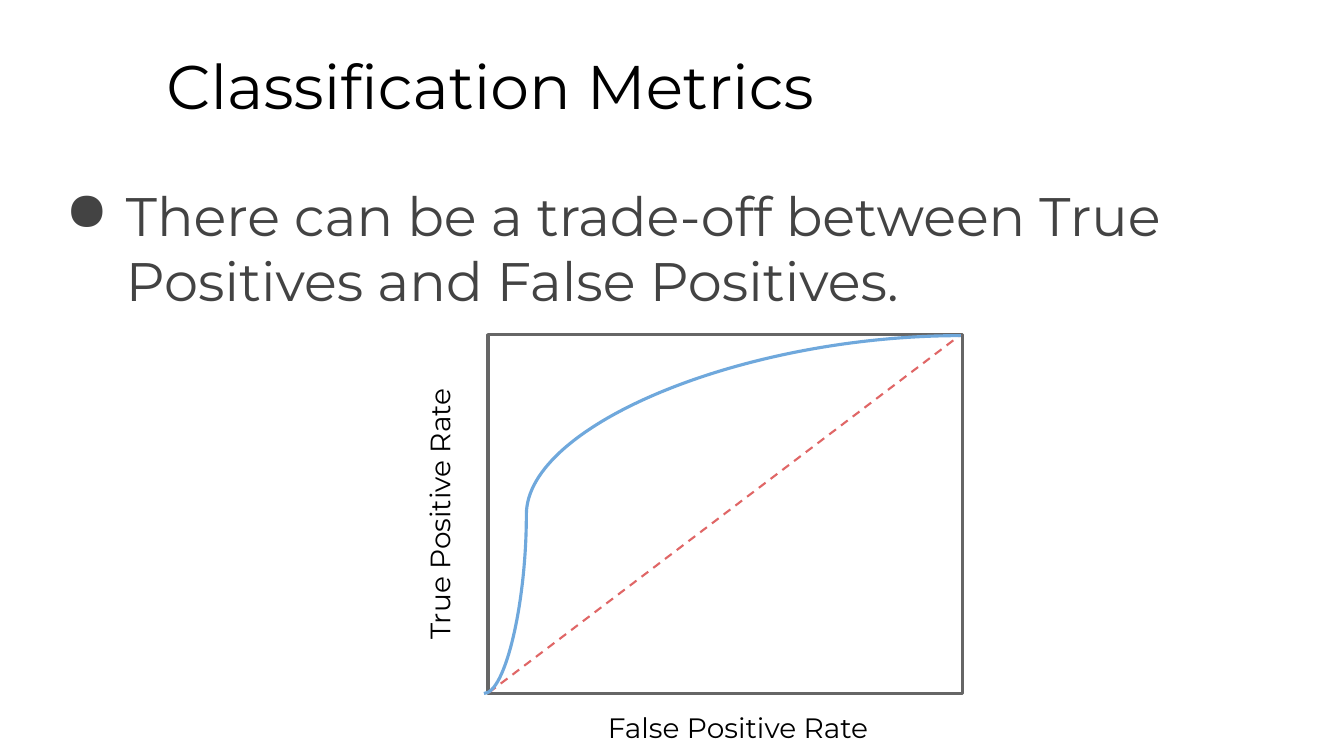
from lxml import etree
from pptx import Presentation
from pptx import util as u
from pptx.dml.color import RGBColor
from pptx.enum import dml, shapes, text
from pptx.oxml.ns import qn

COLORS = {
    "black": "000000",
    "body": "434343",
    "frame": "666666",
    "chance": "E06666",
    "roc": "6FA8DC",
}
Inches = u.Inches

prs = Presentation()
prs.slide_width, prs.slide_height = Inches(13.33), Inches(7.5)
s = prs.slides.add_slide(prs.slide_layouts[6])


def add_text(words, left, top, width, height, size, color="black", align=text.PP_ALIGN.LEFT):
    box = s.shapes.add_textbox(Inches(left), Inches(top), Inches(width), Inches(height))
    tf = box.text_frame
    tf.word_wrap = True
    tf.margin_left = tf.margin_right = tf.margin_top = tf.margin_bottom = Inches(0.13)
    p = tf.paragraphs[0]
    p.alignment = align
    r = p.add_run()
    r.text = words
    r.font.name = "Montserrat"
    r.font.size = u.Pt(size)
    r.font.color.rgb = RGBColor.from_string(COLORS[color])
    return box


def add_line(kind, x1, y1, x2, y2, color, width):
    line = s.shapes.add_connector(kind, Inches(x1), Inches(y1), Inches(x2), Inches(y2))
    line.line.color.rgb = RGBColor.from_string(COLORS[color])
    line.line.width = u.Pt(width)
    etree.SubElement(line._element.spPr, qn("a:effectLst"))
    return line


# Title
title = add_text("Classification Metrics", 1.52, 0.43, 11.36, 0.84, 44)
title.text_frame.paragraphs[0].line_spacing = 0.9

# Bullet
body = add_text("There can be a trade-off between True Positives and False Positives.",
                0.45, 1.68, 12.66, 4.98, 38.7, "body")
pPr = body.text_frame.paragraphs[0]._p.get_or_add_pPr()
pPr.set("marL", str(Inches(0.67)))
pPr.set("indent", str(Inches(-0.6)))
bullet_color = etree.SubElement(pPr, qn("a:buClr"))
etree.SubElement(bullet_color, qn("a:srgbClr"), val=COLORS["body"])
etree.SubElement(pPr, qn("a:buChar"), char="●")

# Plot frame
frame = s.shapes.add_shape(shapes.MSO_SHAPE.RECTANGLE,
                           Inches(4.84), Inches(3.32), Inches(4.71), Inches(3.56))
frame.shadow.inherit = False
frame.fill.background()
frame.line.color.rgb = RGBColor.from_string(COLORS["frame"])
frame.line.width = u.Pt(2.25)

# Axis labels
for words, left, top, rotation in (("False Positive Rate", 5.48, 6.92, 0),
                                   ("True Positive Rate", 2.47, 4.85, 270)):
    label = add_text(words, left, top, 3.68, 0.5, 20, align=text.PP_ALIGN.CENTER)
    label.rotation = rotation

# Chance diagonal
chance = add_line(shapes.MSO_CONNECTOR.STRAIGHT, 4.85, 6.87, 9.53, 3.32, "chance", 1.5)
chance.line.dash_style = dml.MSO_LINE.DASH

# ROC curve, bending 8.9% of the way across
roc = add_line(shapes.MSO_CONNECTOR.CURVE, 4.8, 6.88, 9.53, 3.33, "roc", 2.25)
guides = roc._element.spPr.find(qn("a:prstGeom")).get_or_add_avLst()
etree.SubElement(guides, qn("a:gd"), name="adj1", fmla="val 8900")

prs.save("out.pptx")
